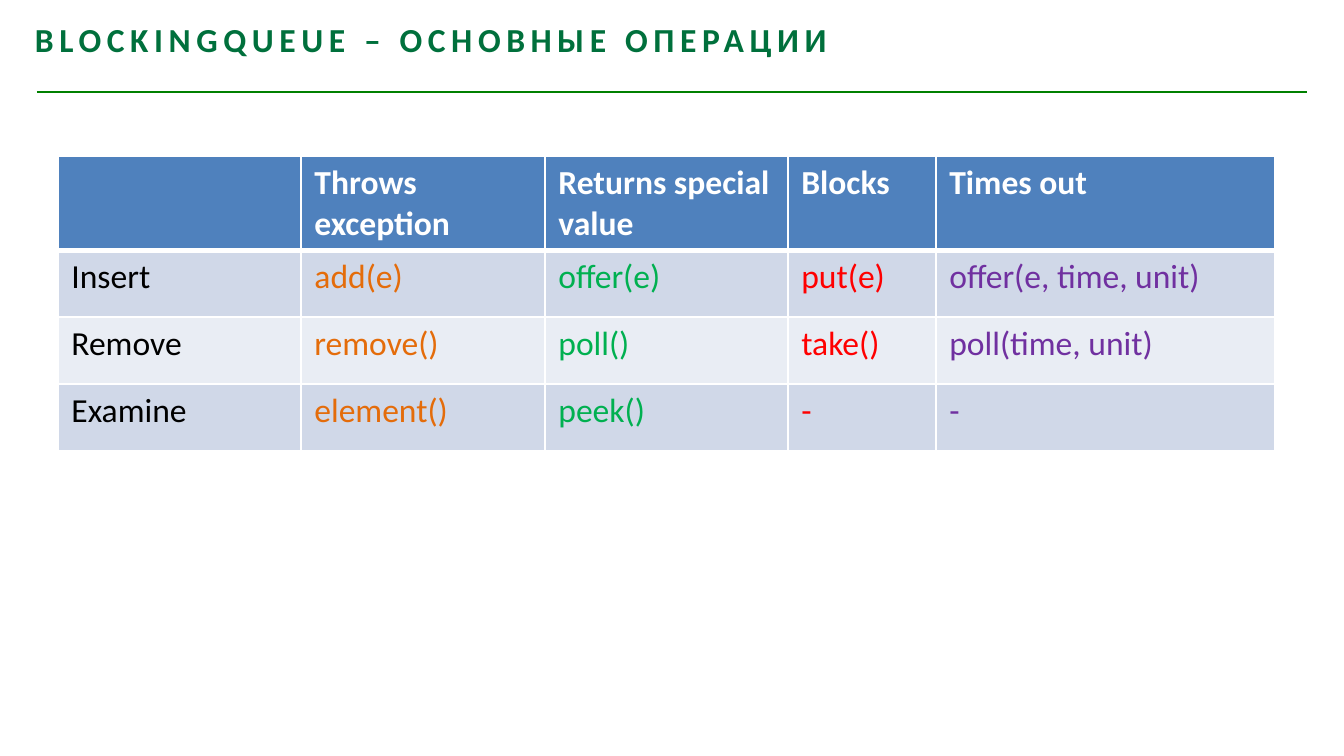
from lxml import etree
from pptx import Presentation
from pptx.dml.color import RGBColor
from pptx.enum.shapes import MSO_CONNECTOR
from pptx.oxml.ns import qn
from pptx.util import Emu, Pt

STRAIGHT = MSO_CONNECTOR.STRAIGHT
EMU_PER_PX = 914400 / 134.4

HEADER_FILL = "4F81BD"
BAND_FILLS = ["D0D8E8", "E9EDF4"]
COLUMN_COLORS = ["000000", "E46C0A", "00B050", "FF0000", "7030A0"]
COLUMN_WIDTHS = [243, 244, 243, 148, 339]
ROW_HEIGHTS = [93, 67, 67, 67]
OPERATIONS = [
    ["", "Throws exception", "Returns special value", "Blocks", "Times out"],
    ["Insert", "add(e)", "offer(e)", "put(e)", "offer(e, time, unit)"],
    ["Remove", "remove()", "poll()", "take()", "poll(time, unit)"],
    ["Examine", "element()", "peek()", "-", "-"],
]


def px(value):
    return Emu(round(value * EMU_PER_PX))


def rgb(color):
    return RGBColor.from_string(color)


class SlideBuilder:
    font_name = "Calibri"
    font_size = 18
    border_color = "FFFFFF"

    def __init__(self, slide):
        self.slide = slide

    def style(self, paragraph, color, bold=False):
        font = paragraph.font
        font.name = self.font_name
        font.size = Pt(self.font_size)
        font.bold = bold
        font.color.rgb = rgb(color)

    def title(self, text, left, top, width, height, color):
        box = self.slide.shapes.add_textbox(px(left), px(top), px(width), px(height))
        frame = box.text_frame
        frame.word_wrap = True
        frame.margin_left = frame.margin_bottom = 0
        frame.margin_top, frame.margin_right = Pt(3.6), Pt(7.2)
        paragraph = frame.paragraphs[0]
        paragraph.space_before = Pt(3.6)
        run = paragraph.add_run()
        run.text = text
        run._r.get_or_add_rPr().set("spc", "300")
        self.style(paragraph, color, bold=True)

    def rule(self, left, right, y, color):
        line = self.slide.shapes.add_connector(STRAIGHT, px(left), px(y), px(right), px(y))
        line.line.color.rgb = rgb(color)
        line.line.width = Pt(0.75)
        etree.SubElement(line._element.spPr, qn("a:effectLst"))

    def borders(self, cell, widths):
        properties = cell._tc.get_or_add_tcPr()
        for position, (side, width) in enumerate(widths.items()):
            border = etree.Element(qn(f"a:ln{side}"), w=str(Pt(width)))
            fill = etree.SubElement(border, qn("a:solidFill"))
            etree.SubElement(fill, qn("a:srgbClr"), val=self.border_color)
            properties.insert(position, border)

    def cell(self, cell, text, fill, color, bold, top, bottom):
        cell.text = text
        self.style(cell.text_frame.paragraphs[0], color, bold)
        cell.fill.solid()
        cell.fill.fore_color.rgb = rgb(fill)
        self.borders(cell, {"L": 1, "R": 1, "T": top, "B": bottom})

    def table(self, rows, left, top, widths, heights):
        table = self.slide.shapes.add_table(
            len(rows), len(widths), px(left), px(top), px(sum(widths)), px(sum(heights))
        ).table
        for column, width in zip(table.columns, widths):
            column.width = px(width)
        for r, (values, height) in enumerate(zip(rows, heights)):
            table.rows[r].height = px(height)
            header = r == 0
            fill = HEADER_FILL if header else BAND_FILLS[(r - 1) % 2]
            for c, text in enumerate(values):
                color = "FFFFFF" if header else COLUMN_COLORS[c]
                self.cell(table.cell(r, c), text, fill, color, header,
                          top=3 if r == 1 else 1, bottom=3 if header else 1)


def main():
    deck = Presentation()
    deck.slide_width, deck.slide_height = px(1344), px(756)
    builder = SlideBuilder(deck.slides.add_slide(deck.slide_layouts[6]))
    builder.rule(37, 1307, 92, "008000")
    builder.title("BLOCKINGQUEUE – ОСНОВНЫЕ ОПЕРАЦИИ", 35, 12, 964, 47, "00703C")
    builder.table(OPERATIONS, 58, 156, COLUMN_WIDTHS, ROW_HEIGHTS)
    deck.save("out.pptx")


if __name__ == "__main__":
    main()
